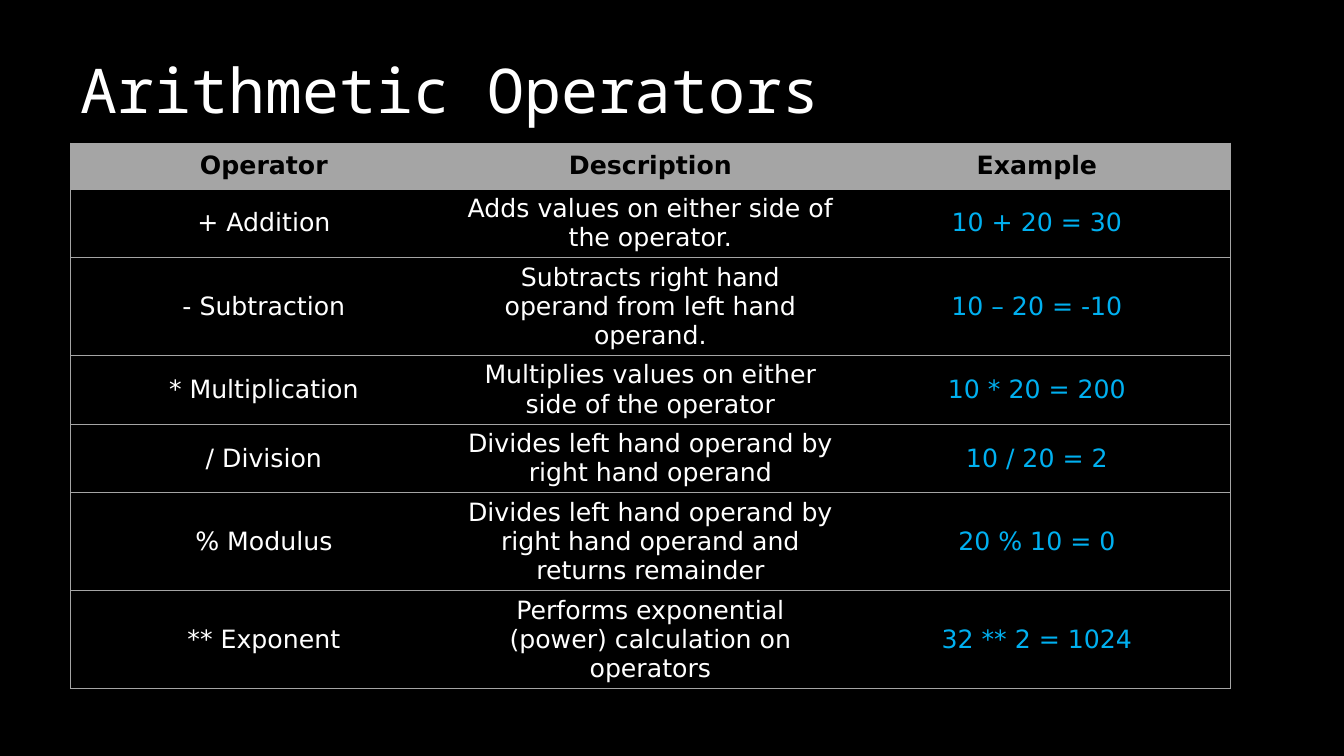
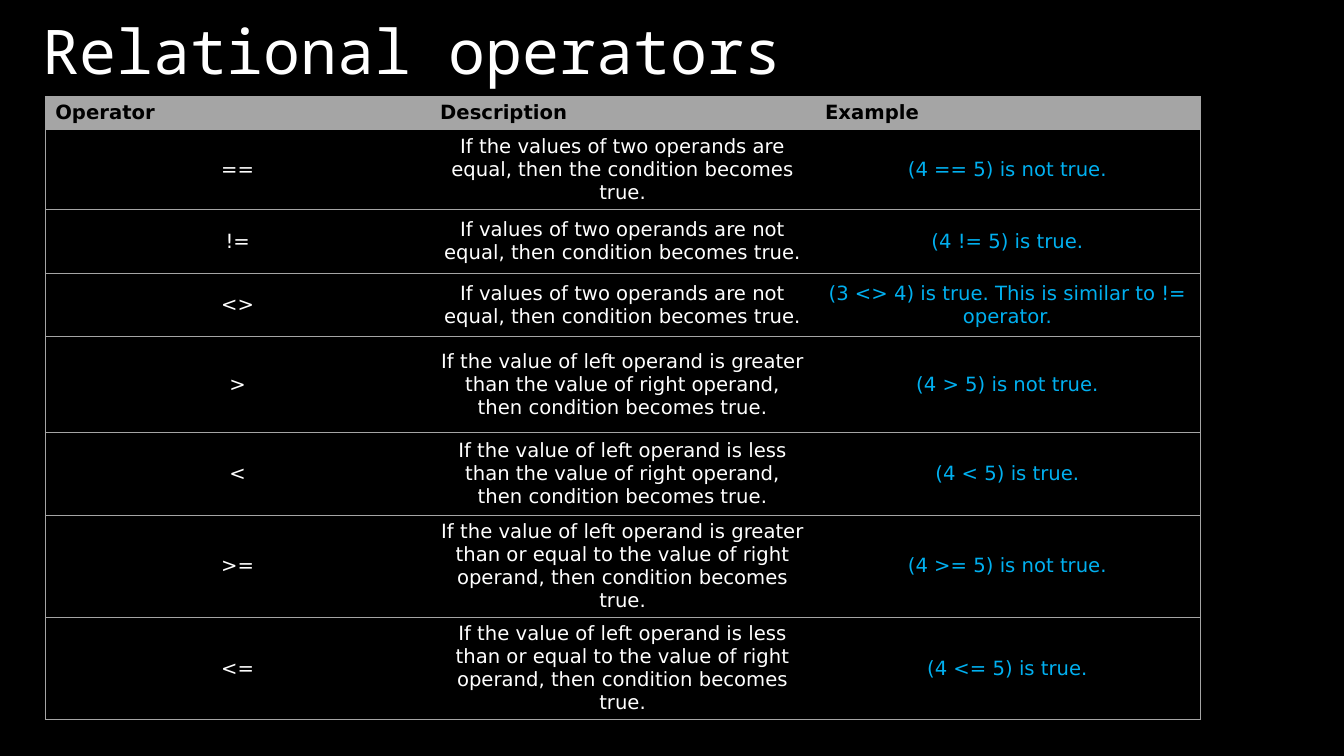
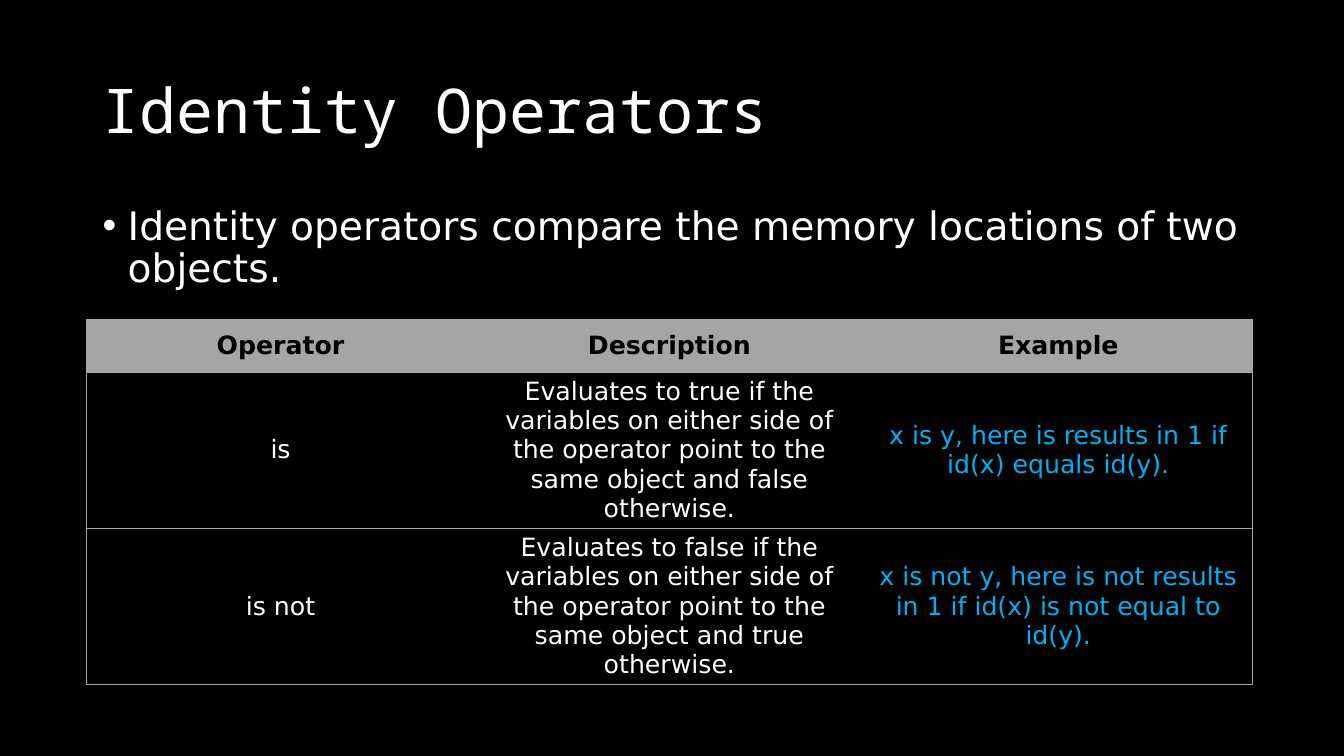
from lxml.etree import SubElement
from pptx import Presentation
from pptx.dml.color import RGBColor
from pptx.enum.text import MSO_ANCHOR as Anchor, MSO_AUTO_SIZE as AutoSize, PP_ALIGN as Align
from pptx.oxml.ns import qn
from pptx.util import Cm, Pt

WHITE, BLACK, GREY, BLUE = "FFFFFF", "000000", "A5A5A5", "00B0F0"
TITLE_FONT, BODY_FONT = "Noto Sans Mono", "DejaVu Sans"
TITLE_ONLY, TITLE_AND_CONTENT = 5, 1
PLAIN_TABLE = "{2D5ABB26-0587-4C30-8999-92F81FD0307C}"
HEADINGS = ("Operator", "Description", "Example")


def paint(fill, color):
    fill.solid()
    fill.fore_color.rgb = RGBColor.from_string(color)


def add_border(cell, side):
    """Draw a thin grey line on one side (L, R, T or B) of a table cell."""
    line = SubElement(cell._tc.get_or_add_tcPr(), qn(f"a:ln{side}"), w=str(Pt(0.5)))
    solid = SubElement(line, qn("a:solidFill"))
    SubElement(solid, qn("a:srgbClr"), val=GREY)


class OperatorDeck:
    def __init__(self):
        self.deck = Presentation()
        self.deck.slide_width, self.deck.slide_height = Cm(33.87), Cm(19.05)
        paint(self.deck.slide_master.background.fill, BLACK)
        self.slide = None

    def set_text(self, frame, text, size, color=WHITE, font=BODY_FONT, bold=False,
                 align=Align.LEFT):
        frame.text = text
        para = frame.paragraphs[0]
        para.alignment = align
        for span in para.runs:
            span.font.name, span.font.size, span.font.bold = font, Pt(size), bold
            paint(span.font.fill, color)
        return para

    def place(self, box, left, top, height):
        box.left, box.top, box.width, box.height = Cm(left), Cm(top), Cm(29.21), Cm(height)
        box.text_frame.word_wrap = True
        box.text_frame.auto_size = AutoSize.NONE

    def add_slide(self, title, left, top, layout=TITLE_ONLY):
        self.slide = self.deck.slides.add_slide(self.deck.slide_layouts[layout])
        box = self.slide.shapes.title
        self.place(box, left, top, 3.68)
        box.text_frame.vertical_anchor = Anchor.MIDDLE
        self.set_text(box.text_frame, title, 44, font=TITLE_FONT).line_spacing = 0.9

    def add_bullet(self, text, left, top, height):
        box = self.slide.placeholders[1]
        self.place(box, left, top, height)
        para = self.set_text(box.text_frame, text, 28)
        para.line_spacing, para.space_before = 0.9, Pt(10)
        properties = para._p.get_or_add_pPr()
        properties.set("marL", str(Pt(18)))
        properties.set("indent", str(-Pt(18)))

    def add_operators(self, rows, left, top, column_width, heights, size=18,
                      heading_align=Align.CENTER):
        """Add a table of operators under the shared headings; lengths in cm."""
        lines = [HEADINGS, *rows]
        table = self.slide.shapes.add_table(
            len(lines), len(HEADINGS), Cm(left), Cm(top),
            Cm(column_width * len(HEADINGS)), Cm(sum(heights))).table
        table._tbl.tblPr.find(qn("a:tableStyleId")).text = PLAIN_TABLE
        table.horz_banding = False
        for column in table.columns:
            column.width = Cm(column_width)
        for row, height in zip(table.rows, heights):
            row.height = Cm(height)
        for r, line in enumerate(lines):
            for c, text in enumerate(line):
                self.fill_cell(table.cell(r, c), text, size, r == 0, c, heading_align)

    def fill_cell(self, cell, text, size, is_heading, column, heading_align):
        cell.vertical_anchor = Anchor.MIDDLE
        for side in ("LTB", "TB", "RTB")[column]:
            add_border(cell, side)
        if is_heading:
            paint(cell.fill, GREY)
            self.set_text(cell.text_frame, text, size, BLACK, bold=True, align=heading_align)
        else:
            cell.fill.background()
            color = BLUE if column == 2 else WHITE
            self.set_text(cell.text_frame, text, size, color, align=Align.CENTER)


def main():
    show = OperatorDeck()

    show.add_slide("Arithmetic Operators", 1.78, 0.51)
    show.add_operators([
        ("+ Addition", "Adds values on either side of the operator.", "10 + 20 = 30"),
        ("- Subtraction", "Subtracts right hand operand from left hand operand.",
         "10 – 20 = -10"),
        ("* Multiplication", "Multiplies values on either side of the operator",
         "10 * 20 = 200"),
        ("/ Division", "Divides left hand operand by right hand operand", "10 / 20 = 2"),
        ("% Modulus", "Divides left hand operand by right hand operand and returns remainder",
         "20 % 10 = 0"),
        ("** Exponent", "Performs exponential (power) calculation on operators",
         "32 ** 2 = 1024"),
    ], 1.78, 3.6, 9.74, [1.16, 1.72, 2.47, 1.72, 1.72, 2.47, 2.47])

    show.add_slide("Relational operators", 0.81, -0.46)
    unequal = "If values of two operands are not equal, then condition becomes true."
    compared = ("If the value of left operand is {} the value of right operand, "
                "then condition becomes true.")
    show.add_operators([
        ("==", "If the values of two operands are equal, then the condition becomes true.",
         "(4 == 5) is not true."),
        ("!=", unequal, "(4 != 5) is true."),
        ("<>", unequal, "(3 <> 4) is true. This is similar to != operator."),
        (">", compared.format("greater than"), "(4 > 5) is not true."),
        ("<", compared.format("less than"), "(4 < 5) is true."),
        (">=", compared.format("greater than or equal to"), "(4 >= 5) is not true."),
        ("<=", compared.format("less than or equal to"), "(4 <= 5) is true."),
    ], 1.14, 2.43, 9.7, [0.82, 2.02, 1.6, 1.6, 2.41, 2.08, 2.58, 2.58],
        size=14, heading_align=Align.LEFT)

    show.add_slide("Identity Operators", 2.33, 1.01, TITLE_AND_CONTENT)
    show.add_bullet("Identity operators compare the memory locations of two objects.",
                    2.33, 5.07, 12.09)
    evaluated = ("Evaluates to {} if the variables on either side of the operator "
                 "point to the same object and {} otherwise.")
    show.add_operators([
        ("is", evaluated.format("true", "false"),
         "x is y, here is results in 1 if id(x) equals id(y)."),
        ("is not", evaluated.format("false", "true"),
         "x is not y, here is not results in 1 if id(x) is not equal to id(y)."),
    ], 2.17, 8.05, 9.8, [1.32, 3.94, 3.94])

    show.deck.save("out.pptx")


if __name__ == "__main__":
    main()
